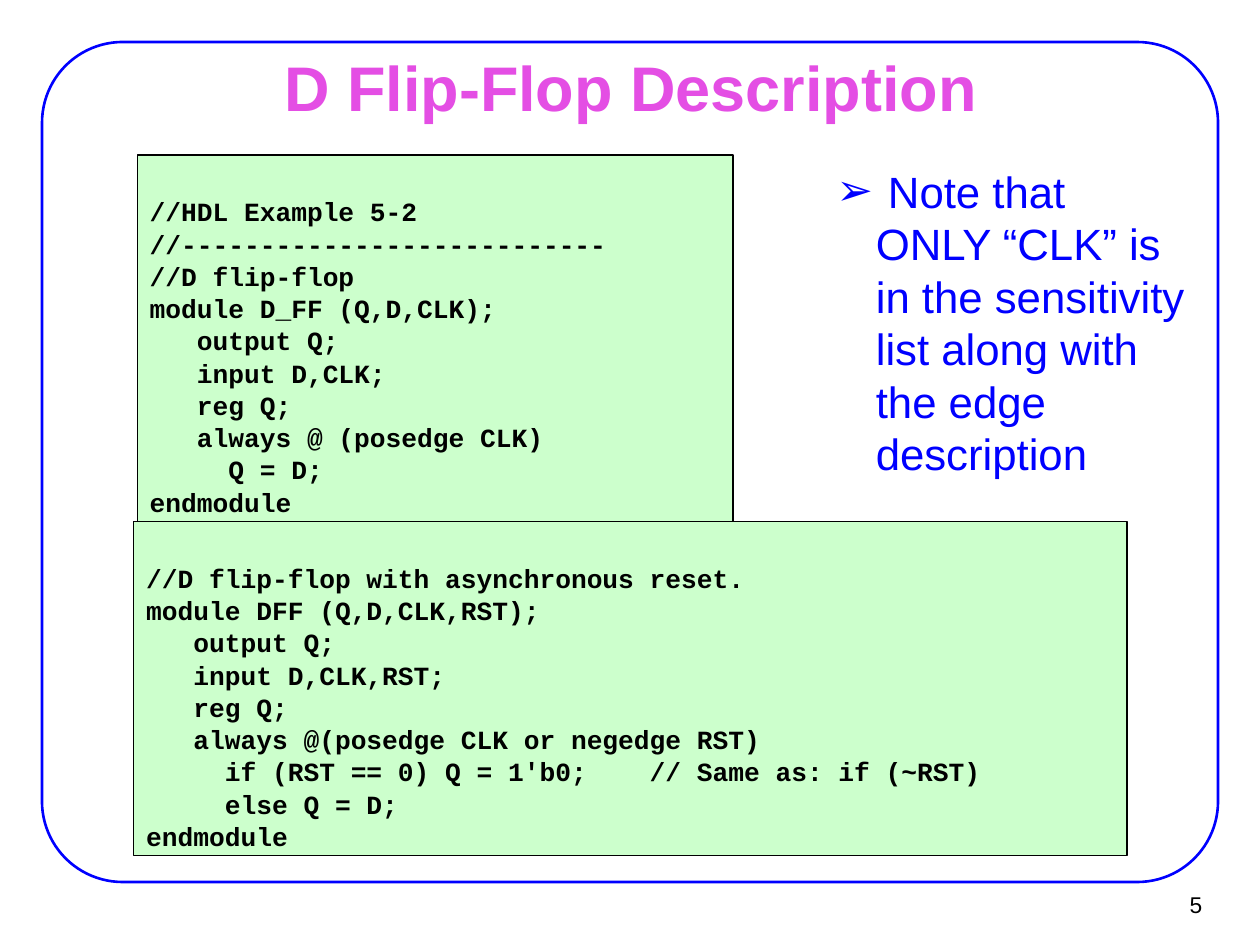
from lxml import etree
from pptx import Presentation
from pptx.dml.color import RGBColor
from pptx.enum.shapes import MSO_SHAPE
from pptx.enum.text import MSO_ANCHOR, PP_ALIGN
from pptx.oxml.ns import qn
from pptx.util import Pt

RECTANGLE, ROUNDED = MSO_SHAPE.RECTANGLE, MSO_SHAPE.ROUNDED_RECTANGLE
TOP, MIDDLE, BOTTOM = MSO_ANCHOR.TOP, MSO_ANCHOR.MIDDLE, MSO_ANCHOR.BOTTOM
LEFT, CENTER, RIGHT = PP_ALIGN.LEFT, PP_ALIGN.CENTER, PP_ALIGN.RIGHT

BLUE, PINK, BLACK, MINT = "0000FF", "E44EE4", "000000", "CCFFCC"

TITLE_FONT = {"name": "Arial", "size": Pt(36), "bold": True}
NOTE_FONT = {"name": "Arial", "size": Pt(25)}
NUMBER_FONT = {"name": "Arial", "size": Pt(13)}
CODE_FONT = {"name": "Courier New", "size": Pt(15), "bold": True}
CODE_SPACING = {"line_spacing": 0.5, "space_before": Pt(9.4)}

FLIP_FLOP = """//HDL Example 5-2
//---------------------------
//D flip-flop
module D_FF (Q,D,CLK);
   output Q;
   input D,CLK;
   reg Q;
   always @ (posedge CLK)
     Q = D;
endmodule"""

RESET_FLIP_FLOP = """//D flip-flop with asynchronous reset.
module DFF (Q,D,CLK,RST);
   output Q;
   input D,CLK,RST;
   reg Q;
   always @(posedge CLK or negedge RST)
     if (RST == 0) Q = 1'b0;    // Same as: if (~RST)
     else Q = D;
endmodule"""

NOTE = " Note that ONLY “CLK” is in the sensitivity list along with the edge description"


def rgb(hex_color):
    """Turn a hex string into a colour."""
    return RGBColor.from_string(hex_color)


def apply_format(target, values):
    """Set each attribute named in a dict of format values."""
    for attribute, value in values.items():
        setattr(target, attribute, value)


def add_panel(slide, preset, box, line_color, line_width, fill=None):
    """Add an outlined shape, filled if a fill colour is given."""
    panel = slide.shapes.add_shape(preset, *map(Pt, box))
    panel.shadow.inherit = False
    if fill:
        panel.fill.solid()
        panel.fill.fore_color.rgb = rgb(fill)
    else:
        panel.fill.background()
    panel.line.color.rgb = rgb(line_color)
    panel.line.width = Pt(line_width)
    return panel


def write_lines(frame, text, font, color, align=LEFT, anchor=TOP, inset=(8, 4), spacing=None):
    """Write each line of text as a paragraph in one format."""
    across, down = map(Pt, inset)
    apply_format(frame, {
        "word_wrap": True, "vertical_anchor": anchor,
        "margin_left": across, "margin_right": across,
        "margin_top": down, "margin_bottom": down,
    })
    frame.text = text
    for paragraph in frame.paragraphs:
        apply_format(paragraph, {"alignment": align, **(spacing or {})})
        for run in paragraph.runs:
            apply_format(run.font, font)
            run.font.color.rgb = rgb(color)


def add_label(slide, box, text, font, color, **layout):
    """Add a text box and return its text frame."""
    frame = slide.shapes.add_textbox(*map(Pt, box)).text_frame
    write_lines(frame, text, font, color, **layout)
    return frame


def add_code(slide, box, code):
    """Add a mint panel of code that rests on the panel's lower edge."""
    panel = add_panel(slide, RECTANGLE, box, BLACK, 0.75, MINT)
    write_lines(panel.text_frame, code, CODE_FONT, BLACK,
                anchor=BOTTOM, inset=(7.2, 3.6), spacing=CODE_SPACING)


def add_bullet(paragraph, symbol, color, margin, hanging):
    """Give a paragraph a coloured bullet with a hanging indent."""
    properties = paragraph._p.get_or_add_pPr()
    properties.set("marL", str(Pt(margin)))
    properties.set("indent", str(-Pt(hanging)))
    bullet_color = etree.SubElement(properties, qn("a:buClr"))
    etree.SubElement(bullet_color, qn("a:srgbClr"), val=color)
    etree.SubElement(properties, qn("a:buFont"), typeface="Arial")
    etree.SubElement(properties, qn("a:buChar"), char=symbol)


def main():
    """Build and save the flip-flop slide."""
    deck = Presentation()
    deck.slide_width, deck.slide_height = Pt(720), Pt(540)
    slide = deck.slides.add_slide(deck.slide_layouts[6])

    border = add_panel(slide, ROUNDED, (24, 24, 672, 480), BLUE, 1.5)
    border.adjustments[0] = 0.096
    add_label(slide, (649.5, 503.5, 44, 26.5), "5", NUMBER_FONT, BLACK,
              align=RIGHT, anchor=MIDDLE, inset=(6.5, 3))
    add_label(slide, (54.5, 31.5, 612, 35.5), "D Flip-Flop Description",
              TITLE_FONT, PINK, align=CENTER, anchor=MIDDLE)
    add_code(slide, (78.5, 88.5, 340.5, 209.5), FLIP_FLOP)
    add_code(slide, (76.5, 298, 567.5, 191), RESET_FLIP_FLOP)
    note = add_label(slide, (434, 90, 252.5, 196.5), NOTE, NOTE_FONT, BLUE,
                     spacing={"level": 1, "space_before": Pt(6.2)})
    add_bullet(note.paragraphs[0], "➢", BLUE, 58.5, 22.5)

    deck.save("out.pptx")


if __name__ == "__main__":
    main()
